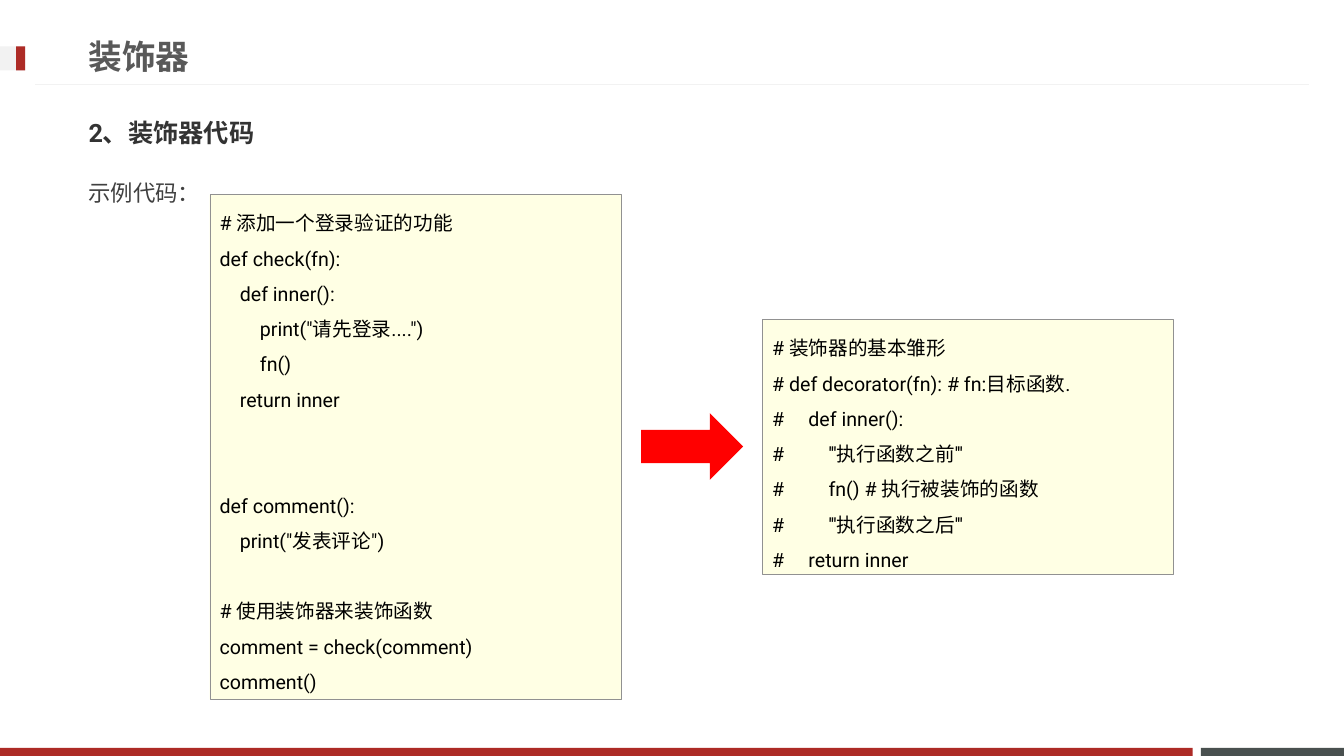
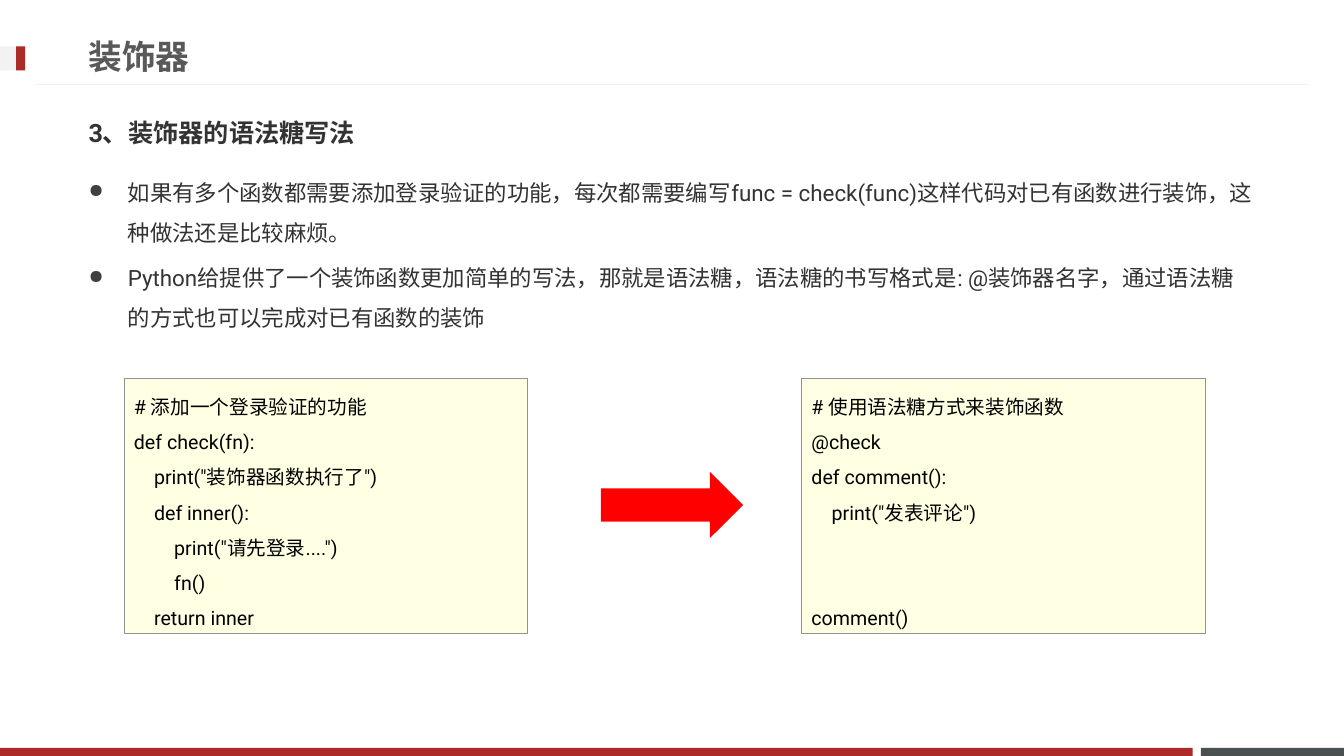
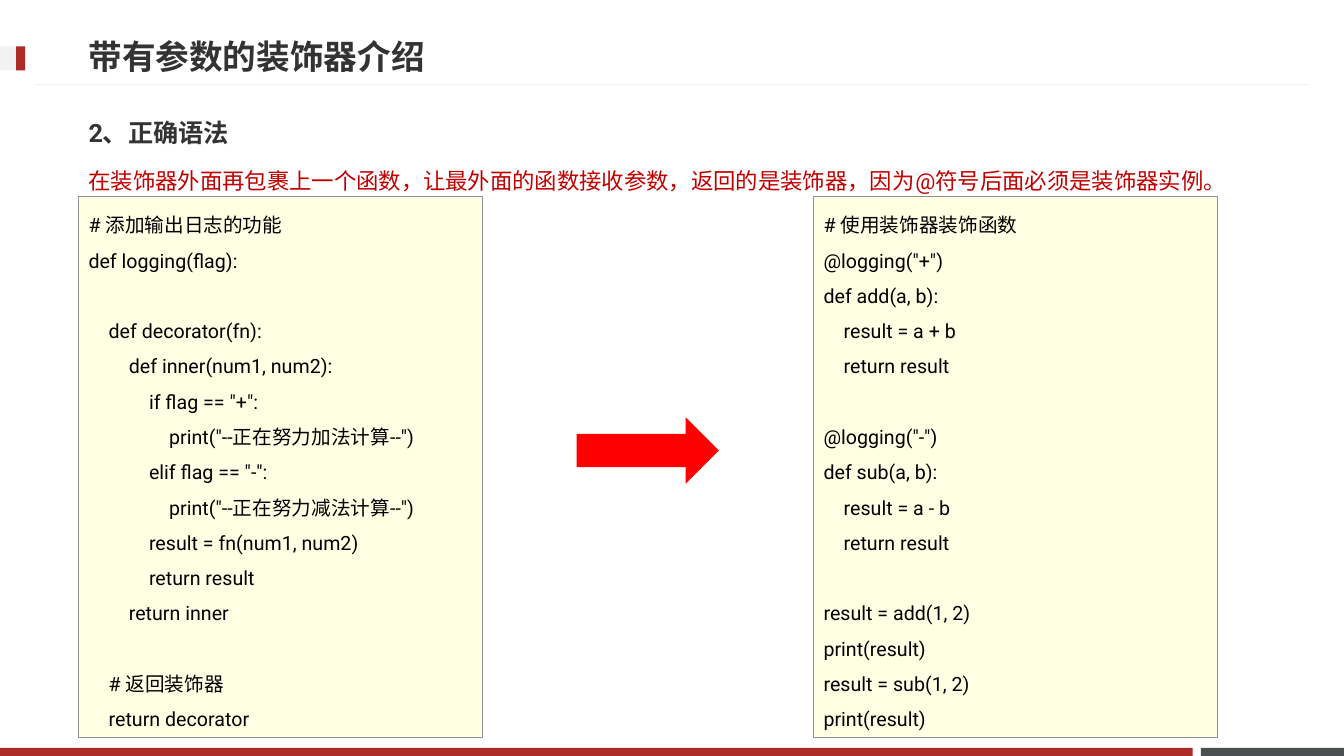
"""Build three slides about Python decorators."""
from lxml import etree
from pptx import Presentation
from pptx import util as u
from pptx.dml.color import RGBColor
from pptx.enum import shapes, text
from pptx.oxml.ns import qn

FONT = "Roboto"
RED, SLATE, PALE = "AD2B26", "49504F", "F2F2F2"
INK, GREY, SOFT, BLACK = "333333", "595959", "404040", "000000"
CODE_FILL, CODE_LINE, ARROW, WARNING = "FFFFE4", "919191", "FF0000", "C00000"
LEFT, BODY_WIDTH, ROW_HEIGHT = 0.78, 11.76, 0.57
LINE_PITCH = 25.2
SPACE_WIDTH = 0.05
HASH_WIDTH = 0.11
BANDS = [
    ((11.91, 7.42, 1.42, 0.08), SLATE),
    ((0, 7.42, 11.83, 0.08), RED),
    ((0, 0.46, 0.25, 0.24), PALE),
    ((0.16, 0.46, 0.09, 0.24), RED),
]

SLIDES = [
    dict(
        title="装饰器", title_color=GREY, heading="2、装饰器代码",
        body=["示例代码："], body_top=1.59, body_color=SOFT, bulleted=False,
        arrow=(6.36, 4.1, 1.01, 0.66),
        codes=[
            ((2.08, 1.93, 4.08, 5.01), """
# 添加一个登录验证的功能
def check(fn):
    def inner():
        print("请先登录....")
        fn()
    return inner


def comment():
    print("发表评论")

# 使用装饰器来装饰函数
comment = check(comment)
comment()"""),
            ((7.56, 3.17, 4.08, 2.53), """
# 装饰器的基本雏形
# def decorator(fn): # fn:目标函数.
#     def inner():
#         '''执行函数之前'''
#         fn() # 执行被装饰的函数
#         '''执行函数之后'''
#     return inner"""),
        ]),
    dict(
        title="装饰器", title_color=GREY, heading="3、装饰器的语法糖写法",
        body=["如果有多个函数都需要添加登录验证的功能，每次都需要编写func = check(func)这样代码对已有函数进行装饰，这种做法还是比较麻烦。",
              "Python给提供了一个装饰函数更加简单的写法，那就是语法糖，语法糖的书写格式是: @装饰器名字，通过语法糖的方式也可以完成对已有函数的装饰"],
        body_top=1.59, body_color=INK, bulleted=True,
        arrow=(5.96, 4.68, 1.41, 0.66),
        codes=[
            ((1.23, 3.75, 4, 2.53), """
# 添加一个登录验证的功能
def check(fn):
    print("装饰器函数执行了")
    def inner():
        print("请先登录....")
        fn()
    return inner"""),
            ((7.95, 3.75, 4, 2.53), """
# 使用语法糖方式来装饰函数
@check
def comment():
    print("发表评论")


comment()"""),
        ]),
    dict(
        title="带有参数的装饰器介绍", title_color=INK, heading="2、正确语法",
        body=["在装饰器外面再包裹上一个函数，让最外面的函数接收参数，返回的是装饰器，因为@符号后面必须是装饰器实例。"],
        body_top=1.48, body_color=WARNING, bulleted=False,
        arrow=(5.72, 4.14, 1.41, 0.66),
        codes=[
            ((0.78, 1.95, 4, 5.36), """
# 添加输出日志的功能
def logging(flag):

    def decorator(fn):
        def inner(num1, num2):
            if flag == "+":
                print("--正在努力加法计算--")
            elif flag == "-":
                print("--正在努力减法计算--")
            result = fn(num1, num2)
            return result
        return inner

    # 返回装饰器
    return decorator"""),
            ((8.07, 1.95, 4, 5.36), """
# 使用装饰器装饰函数
@logging("+")
def add(a, b):
    result = a + b
    return result

@logging("-")
def sub(a, b):
    result = a - b
    return result

result = add(1, 2)
print(result)
result = sub(1, 2)
print(result)"""),
        ]),
]


def color(value):
    return RGBColor.from_string(value)


def place(frame):
    return [u.Inches(length) for length in frame]


def add_block(page, kind, frame, fill, line=None):
    box = page.shapes.add_shape(kind, *place(frame))
    box.shadow.inherit = False
    box.fill.solid()
    box.fill.fore_color.rgb = color(fill)
    if line:
        box.line.color.rgb = color(line)
        box.line.width = u.Pt(0.25)
    else:
        box.line.fill.background()
    return box


def write(para, content, size=14, ink=BLACK, bold=False, spacing=None, before=0):
    para.alignment = text.PP_ALIGN.LEFT
    para.line_spacing = spacing
    para.space_before = u.Pt(before)
    span = para.add_run()
    span.text = content
    span.font.name = FONT
    span.font.size = u.Pt(size)
    span.font.bold = bold
    span.font.color.rgb = color(ink)


def indent(para, margin, first=0):
    props = para._p.get_or_add_pPr()
    props.set("marL", str(u.Inches(margin)))
    props.set("indent", str(u.Inches(first)))
    return props


def add_bullet(para):
    props = indent(para, 0.39, -0.39)
    tint = etree.SubElement(props, qn("a:buClr"))
    etree.SubElement(tint, qn("a:srgbClr"), val=SOFT)
    etree.SubElement(props, qn("a:buSzPct"), val="85000")
    etree.SubElement(props, qn("a:buChar"), char="●")


def add_text(page, frame, lines, anchor=text.MSO_ANCHOR.MIDDLE, bulleted=False, **style):
    words = page.shapes.add_textbox(*place(frame)).text_frame
    words.word_wrap = True
    words.vertical_anchor = anchor
    for number, line in enumerate(lines):
        para = words.add_paragraph() if number else words.paragraphs[0]
        write(para, line, **style)
        if bulleted:
            add_bullet(para)


def add_code(page, frame, source):
    box = add_block(page, shapes.MSO_SHAPE.RECTANGLE, frame, CODE_FILL, CODE_LINE)
    words = box.text_frame
    words.word_wrap = True
    words.vertical_anchor = text.MSO_ANCHOR.TOP
    para, gap = words.paragraphs[0], 0
    for line in source.strip().splitlines():
        if not line:
            gap += LINE_PITCH
            continue
        para = para if not para.runs else words.add_paragraph()
        code = line.lstrip()
        margin, first = (len(line) - len(code)) * SPACE_WIDTH, 0
        if code.startswith("#  "):
            inner = code[1:].lstrip()
            margin = HASH_WIDTH + (len(code) - len(inner) - 1) * SPACE_WIDTH
            code, first = "#\t" + inner, -margin
        write(para, code, spacing=1.5, before=gap)
        indent(para, margin, first)
        gap = 0


def add_frame(page, title, ink):
    for frame, fill in BANDS:
        add_block(page, shapes.MSO_SHAPE.RECTANGLE, frame, fill)
    rule = page.shapes.add_connector(
        shapes.MSO_CONNECTOR.STRAIGHT, *place((0.35, 0.84, 12.98, 0.84)))
    rule.line.color.rgb = color(PALE)
    rule.line.width = u.Pt(0.75)
    etree.SubElement(rule._element.spPr, qn("a:effectLst"))
    add_text(page, (LEFT, 0.27, 9.59, ROW_HEIGHT), [title], size=24, ink=ink, bold=True)


def main():
    deck = Presentation()
    deck.slide_width, deck.slide_height = place((13.33, 7.5))
    for content in SLIDES:
        page = deck.slides.add_slide(deck.slide_layouts[6])
        add_frame(page, content["title"], content["title_color"])
        add_text(page, (LEFT, 1.03, BODY_WIDTH, ROW_HEIGHT), [content["heading"]],
                 size=18, ink=INK, bold=True, before=3.6)
        for frame, source in content["codes"]:
            add_code(page, frame, source)
        add_block(page, shapes.MSO_SHAPE.RIGHT_ARROW, content["arrow"], ARROW)
        height = ROW_HEIGHT * len(content["body"]) * (2 if content["bulleted"] else 1)
        add_text(page, (LEFT, content["body_top"], BODY_WIDTH, height), content["body"],
                 anchor=text.MSO_ANCHOR.TOP, bulleted=content["bulleted"],
                 size=16, ink=content["body_color"], spacing=1.5, before=3.6)
    deck.save("out.pptx")


if __name__ == "__main__":
    main()
